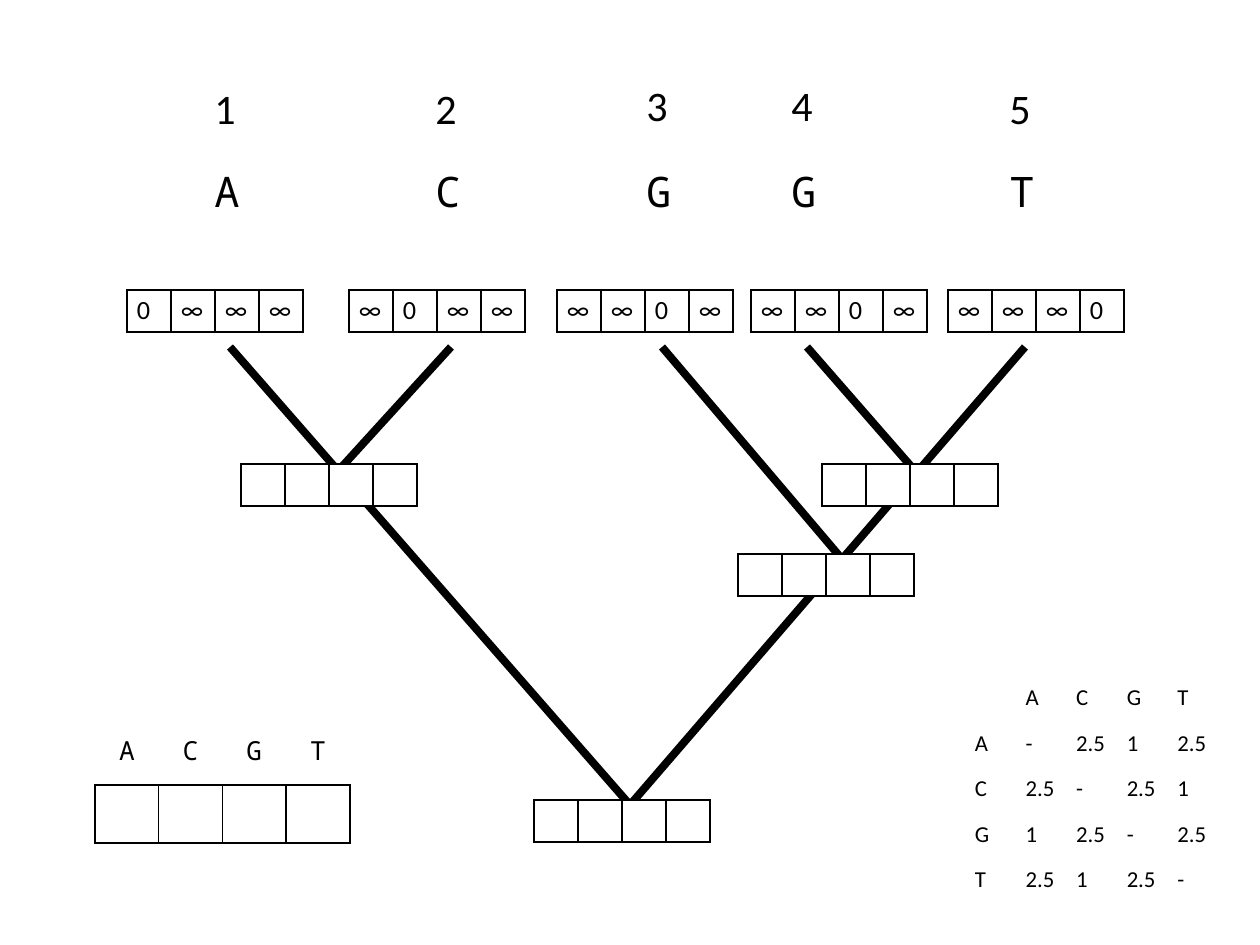
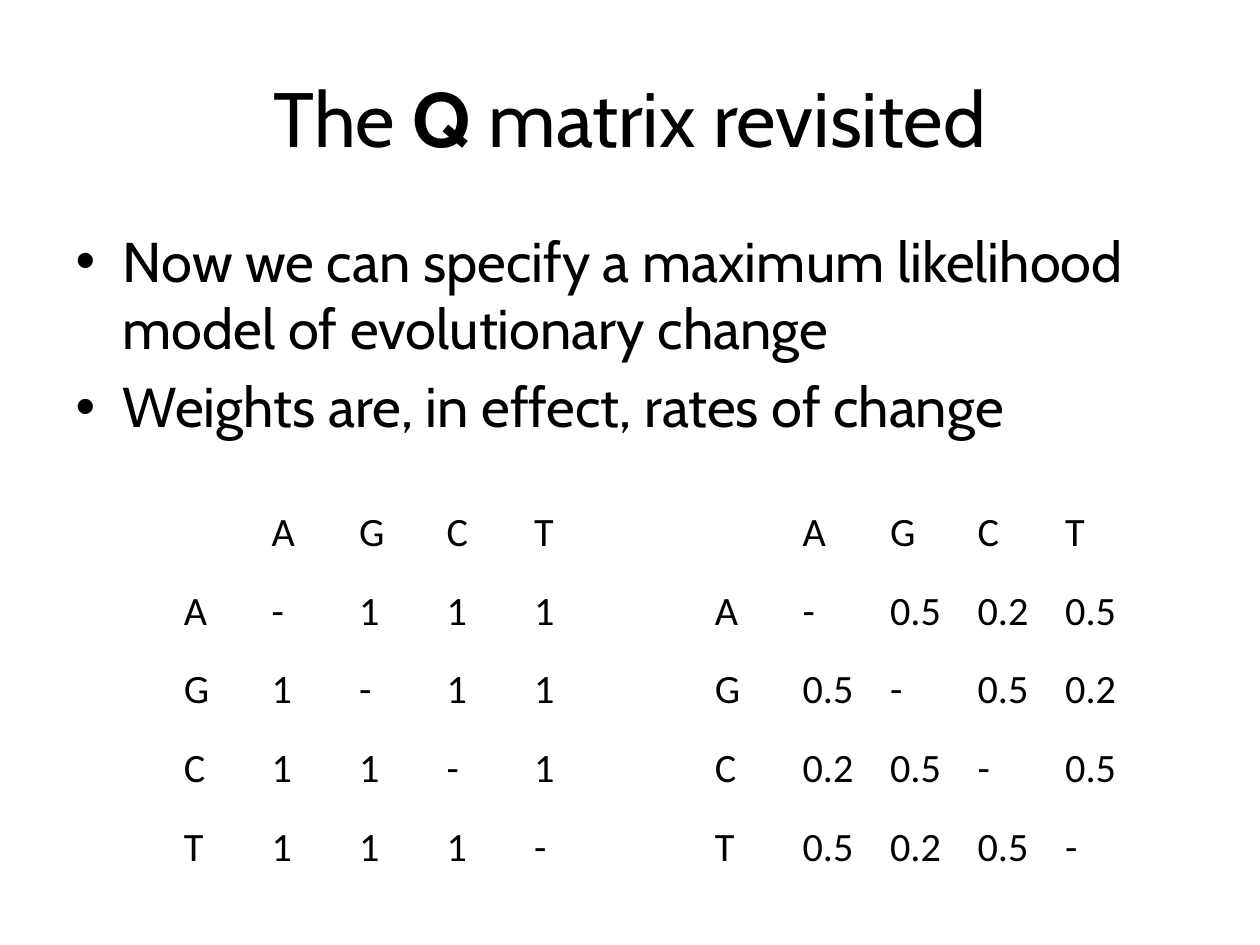
"""Build two slides on step matrices: a tree of five tips and the Q matrix."""
import pptx
import pptx.dml.color
import pptx.enum.shapes
import pptx.enum.text
import pptx.oxml.ns
import pptx.util
from lxml import etree

COLORS = {"ink": "000000", "paper": "FFFFFF"}
SANS, MONO, HEAD = "Calibri", "Noto Sans Mono", "Cabin"
PX_PER_INCH = 126
NO_STYLE = "{2D5ABB26-0587-4C30-8999-92F81FD0307C}"

TEXT_SIZE = (57, 63)
VECTOR_SIZE = (176, 42)
VECTOR_TOP = 290
BASES = "ACGT"
TIPS = [
    {"number": "1", "base": "A", "left": 202, "top": 76, "vector": 127},
    {"number": "2", "base": "C", "left": 423, "top": 76, "vector": 349},
    {"number": "3", "base": "G", "left": 634, "top": 73, "vector": 557},
    {"number": "4", "base": "G", "left": 779, "top": 73, "vector": 751},
    {"number": "5", "base": "T", "left": 997, "top": 76, "vector": 948},
]
BASE_TOP = 159
BRANCH_TOP, BRANCH_INSET = 347, 28
BRANCHES = [(4, 630, 805), (0, 630, 805), (3, 916, 472), (2, 842, 559), (1, 339, 470)]
INNER_VECTORS = [(241, 464), (822, 464), (738, 554), (534, 800)]
LEGEND_BOX = (95, 727, 255, 116)

COSTS = {"order": "ACGT", "values": ["- 2.5 1 2.5", "2.5 - 2.5 1", "1 2.5 - 2.5", "2.5 1 2.5 -"]}
EQUAL = {"order": "AGCT", "values": ["- 1 1 1", "1 - 1 1", "1 1 - 1", "1 1 1 -"]}
RATES = {
    "order": "AGCT",
    "values": ["- 0.5 0.2 0.5", "0.5 - 0.5 0.2", "0.2 0.5 - 0.5", "0.5 0.2 0.5 -"],
}
TITLE = [("The ", False), ("Q ", True), ("matrix revisited", False)]
BULLETS = [
    "Now we can specify a maximum likelihood model of evolutionary change",
    "Weights are, in effect, rates of change",
]


def px(n):
    return pptx.util.Emu(round(n * 914400 / PX_PER_INCH))


def rgb(name):
    return pptx.dml.color.RGBColor.from_string(COLORS[name])


def add_run(p, text, size, font, bold=False):
    r = p.add_run()
    r.text = text
    r.font.size = pptx.util.Pt(size)
    r.font.name = font
    r.font.bold = bold
    r.font.color.rgb = rgb("ink")


def add_label(s, text, left, top, font):
    tf = s.shapes.add_textbox(*map(px, (left, top, *TEXT_SIZE))).text_frame
    tf.word_wrap = True
    tf.auto_size = pptx.enum.text.MSO_AUTO_SIZE.SHAPE_TO_FIT_TEXT
    add_run(tf.paragraphs[0], text, 24, font)


def add_branch(s, x1, y1, x2, y2):
    line = s.shapes.add_connector(
        pptx.enum.shapes.MSO_CONNECTOR.STRAIGHT, *map(px, (x1, y1, x2, y2)))
    line.line.color.rgb = rgb("ink")
    line.line.width = pptx.util.Pt(4.5)
    etree.SubElement(line._element.spPr, pptx.oxml.ns.qn("a:effectLst"))


def add_border(cell, sides):
    qn = pptx.oxml.ns.qn
    for side in sides:
        ln = etree.SubElement(cell._tc.get_or_add_tcPr(), qn(f"a:ln{side}"), w="12700")
        fill = etree.SubElement(ln, qn("a:solidFill"))
        etree.SubElement(fill, qn("a:srgbClr"), val=COLORS["ink"])


def add_grid(s, rows, box, size, inset, font=SANS, borders=None, align=None):
    left, top, width, height = box
    qn = pptx.oxml.ns.qn
    table = s.shapes.add_table(len(rows), len(rows[0]), *map(px, box)).table
    table.first_row = table.horz_banding = False
    table._tbl.tblPr.find(qn("a:tableStyleId")).text = NO_STYLE
    for col in table.columns:
        col.width = px(width / len(rows[0]))
    for i, row in enumerate(rows):
        table.rows[i].height = px(height / len(rows))
        for j, text in enumerate(row):
            cell = table.cell(i, j)
            cell.margin_left = cell.margin_right = px(inset[0])
            cell.margin_top = cell.margin_bottom = px(inset[1])
            p = cell.text_frame.paragraphs[0]
            p.alignment = align
            if text:
                add_run(p, text, size, font)
            else:
                etree.SubElement(p._p, qn("a:endParaRPr"), sz=str(size * 100))
            if borders:
                add_border(cell, borders[i])
                cell.fill.solid()
                cell.fill.fore_color.rgb = rgb("paper")
            else:
                cell.fill.background()


def add_vector(s, values, left, top):
    add_grid(s, [values], (left, top, *VECTOR_SIZE), 15, (10, 5), borders=["LRTB"])


def add_matrix(s, matrix, box, size, inset):
    order = matrix["order"]
    rows = [["", *order]]
    rows += [[base, *line.split()] for base, line in zip(order, matrix["values"])]
    add_grid(s, rows, box, size, inset)


def build_tree(prs):
    s = prs.slides.add_slide(prs.slide_layouts[6])
    for tip, x, y in BRANCHES:
        add_branch(s, TIPS[tip]["left"] + BRANCH_INSET, BRANCH_TOP, x, y)
    for tip in TIPS:
        add_label(s, tip["number"], tip["left"], tip["top"], SANS)
        add_label(s, tip["base"], tip["left"], BASE_TOP, MONO)
    for left, top in INNER_VECTORS:
        add_vector(s, [""] * len(BASES), left, top)
    for tip in TIPS:
        values = ["0" if base == tip["base"] else "∞" for base in BASES]
        add_vector(s, values, tip["vector"], VECTOR_TOP)
    add_grid(s, [list(BASES), [""] * len(BASES)], LEGEND_BOX, 15, (10, 5), MONO,
             ["B", "LRTB"], pptx.enum.text.PP_ALIGN.CENTER)
    add_matrix(s, COSTS, (966, 680, 253, 228), 13, (9, 4))


def place(shape, *box):
    shape.left, shape.top, shape.width, shape.height = map(px, box)
    tf = shape.text_frame
    tf.auto_size = pptx.enum.text.MSO_AUTO_SIZE.NONE
    return tf


def build_q_matrix(prs):
    s = prs.slides.add_slide(prs.slide_layouts[1])
    tf = place(s.shapes.title, 63, 38, 1134, 157)
    for text, bold in TITLE:
        add_run(tf.paragraphs[0], text, 44, HEAD, bold)
    tf = place(s.placeholders[1], 63, 220, 1134, 217)
    for i, text in enumerate(BULLETS):
        p = tf.add_paragraph() if i else tf.paragraphs[0]
        add_run(p, text, 32, HEAD)
    for matrix, left in ((EQUAL, 169), (RATES, 700)):
        add_matrix(s, matrix, (left, 500, 438, 394), 23, (15, 8))


def main():
    prs = pptx.Presentation()
    prs.slide_width, prs.slide_height = px(1260), px(945)
    build_tree(prs)
    build_q_matrix(prs)
    prs.save("out.pptx")


if __name__ == "__main__":
    main()
